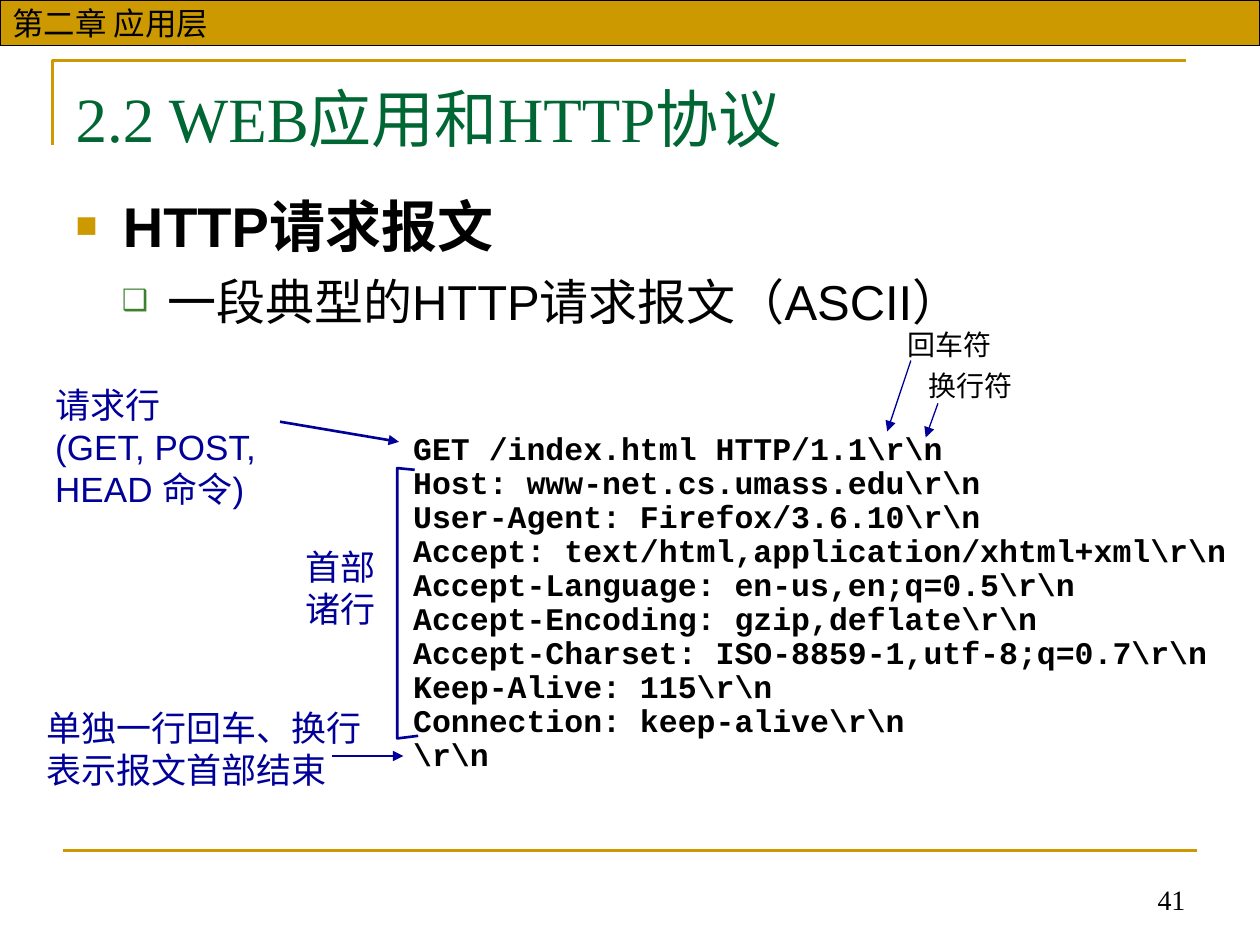
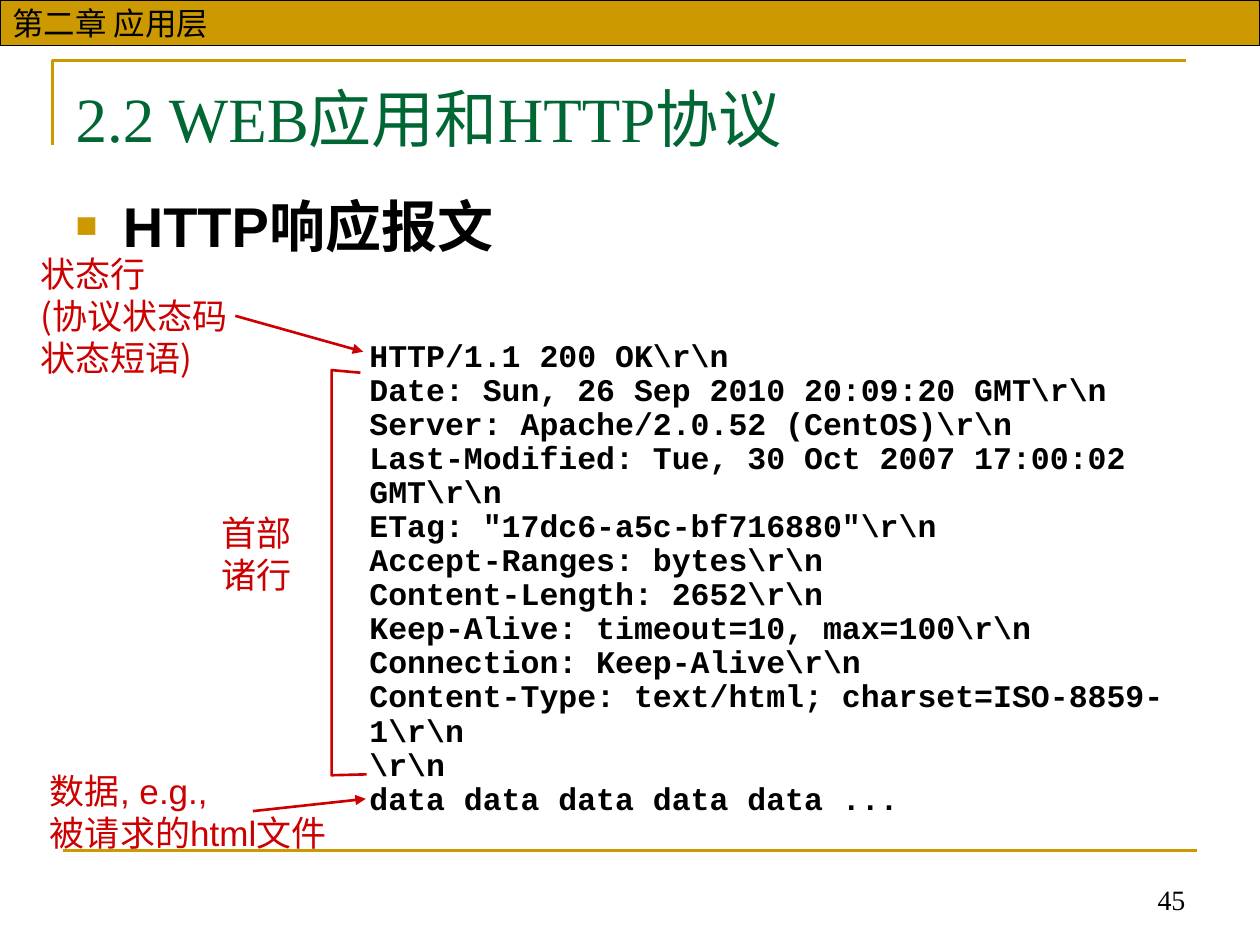
from lxml import etree
from pptx import Presentation
from pptx.dml.color import RGBColor
from pptx.enum.shapes import MSO_CONNECTOR, MSO_SHAPE
from pptx.enum.text import MSO_ANCHOR, MSO_AUTO_SIZE, PP_ALIGN
from pptx.oxml.ns import qn
from pptx.util import Pt

LEFT, RIGHT = PP_ALIGN.LEFT, PP_ALIGN.RIGHT
TOP, MIDDLE, BOTTOM = MSO_ANCHOR.TOP, MSO_ANCHOR.MIDDLE, MSO_ANCHOR.BOTTOM
STRAIGHT, RECTANGLE = MSO_CONNECTOR.STRAIGHT, MSO_SHAPE.RECTANGLE
NO_AUTOFIT = MSO_AUTO_SIZE.NONE

GOLD, GREEN, BULLET_GREEN = "CC9900", "006633", "3B812F"
BLUE, RED, BLACK = "000099", "CC0000", "000000"
SANS, SERIF, MONO, CJK = "Arial", "Times New Roman", "Courier New", "Noto Sans CJK SC"

TITLE = dict(name=SERIF, size=Pt(36), color=GREEN)
NUMBER = dict(name=SERIF, size=Pt(16), color=BLACK)
BAND = dict(name=SANS, size=Pt(18), color=BLACK)
CODE = dict(name=MONO, size=Pt(18), color=BLACK, bold=True)
MARK = dict(name=CJK, size=Pt(16), color=BLACK)
# One entry per list level: font, bullet, bullet colour, bullet size %, indents, space before
LEVELS = [
    (dict(name=SANS, size=Pt(32), color=BLACK, bold=True), "■", GOLD, 65, 27, -27, 0),
    (dict(name=SANS, size=Pt(28), color=BLACK, bold=False), "❑", BULLET_GREEN, 60, 52.5, -26, 7),
]

REQUEST = r"""GET /index.html HTTP/1.1\r\n
Host: www-net.cs.umass.edu\r\n
User-Agent: Firefox/3.6.10\r\n
Accept: text/html,application/xhtml+xml\r\n
Accept-Language: en-us,en;q=0.5\r\n
Accept-Encoding: gzip,deflate\r\n
Accept-Charset: ISO-8859-1,utf-8;q=0.7\r\n
Keep-Alive: 115\r\n
Connection: keep-alive\r\n
\r\n"""

RESPONSE = r"""HTTP/1.1 200 OK\r\n
Date: Sun, 26 Sep 2010 20:09:20 GMT\r\n
Server: Apache/2.0.52 (CentOS)\r\n
Last-Modified: Tue, 30 Oct 2007 17:00:02 GMT\r\n
ETag: "17dc6-a5c-bf716880"\r\n
Accept-Ranges: bytes\r\n
Content-Length: 2652\r\n
Keep-Alive: timeout=10, max=100\r\n
Connection: Keep-Alive\r\n
Content-Type: text/html; charset=ISO-8859-1\r\n
\r\n
data data data data data ..."""


def rgb(hex_color):
    return RGBColor.from_string(hex_color)


def add_child(parent, tag, **attributes):
    return etree.SubElement(parent, qn(tag), attributes)


def place(shape, left, top, width, height):
    shape.left, shape.top = Pt(left), Pt(top)
    shape.width, shape.height = Pt(width), Pt(height)


def add_run(p, text, style):
    r = p.add_run()
    r.text = text
    for key, value in style.items():
        if key == "color":
            r.font.color.rgb = rgb(value)
        else:
            setattr(r.font, key, value)
    add_child(r._r.get_or_add_rPr(), "a:ea", typeface=CJK)


def write(tf, text, style, align=LEFT, anchor=TOP, spacing=1.0):
    """Fill a text frame with one paragraph for each line of text."""
    tf.word_wrap = True
    tf.auto_size = NO_AUTOFIT
    tf.vertical_anchor = anchor
    for i, line in enumerate(text.split("\n")):
        p = tf.add_paragraph() if i else tf.paragraphs[0]
        p.alignment, p.line_spacing = align, spacing
        add_run(p, line, style)


def add_text(s, box, text, style, **layout):
    tb = s.shapes.add_textbox(*map(Pt, box))
    write(tb.text_frame, text, style, **layout)


def add_label(s, box, text, color, font=CJK, align=LEFT):
    add_text(s, box, text, dict(name=font, size=Pt(20), color=color), align=align)


def add_line(s, start, end, color, width=1.5, arrow=True):
    line = s.shapes.add_connector(STRAIGHT, *map(Pt, start + end))
    line.line.color.rgb = rgb(color)
    line.line.width = Pt(width)
    if arrow:
        add_child(line.line._get_or_add_ln(), "a:tailEnd", type="triangle")
    add_child(line._element.spPr, "a:effectLst")


def add_polyline(s, points, color):
    start, *rest = [(Pt(x), Pt(y)) for x, y in points]
    builder = s.shapes.build_freeform(*start)
    builder.add_line_segments(rest, close=False)
    shape = builder.convert_to_shape()
    shape.shadow.inherit = False
    shape.fill.background()
    shape.line.color.rgb = rgb(color)
    shape.line.width = Pt(1.5)


def add_frame(s, number):
    """Draw the chapter band, rules and slide number."""
    add_polyline(s, [(30, 83), (30, 34.75), (678, 34.75)], GOLD)
    add_line(s, (36, 486), (684, 486), GOLD, arrow=False)
    band = s.shapes.add_shape(RECTANGLE, 0, 0, Pt(720), Pt(26))
    band.shadow.inherit = False
    band.fill.solid()
    band.fill.fore_color.rgb = rgb(GOLD)
    band.line.color.rgb = rgb(BLACK)
    band.line.width = Pt(0.75)
    write(band.text_frame, "第二章 应用层", BAND, anchor=MIDDLE)
    add_text(s, (456.5, 491, 228, 36), str(number), NUMBER, align=RIGHT, anchor=BOTTOM)


def add_bullets(body, items):
    """Write one item for each list level, from the top level down."""
    tf = body.text_frame
    tf.auto_size = NO_AUTOFIT
    for level, (text, spec) in enumerate(zip(items, LEVELS)):
        style, char, color, percent, margin, indent, before = spec
        p = tf.add_paragraph() if level else tf.paragraphs[0]
        p.level = level
        pPr = p._p.get_or_add_pPr()
        pPr.set("marL", str(Pt(margin)))
        pPr.set("indent", str(Pt(indent)))
        add_child(add_child(pPr, "a:buClr"), "a:srgbClr", val=color)
        add_child(pPr, "a:buSzPct", val=str(percent * 1000))
        add_child(pPr, "a:buChar", char=char)
        p.space_before = Pt(before)
        add_run(p, text, style)


def add_content_slide(prs, number, items):
    s = prs.slides.add_slide(prs.slide_layouts[1])
    add_frame(s, number)
    title, body = s.placeholders
    place(title, 36, 39, 648, 55.5)
    write(title.text_frame, "2.2 WEB应用和HTTP协议", TITLE, anchor=MIDDLE)
    place(body, 36, 106, 648, 374)
    add_bullets(body, items)
    return s


def add_request_slide(prs):
    s = add_content_slide(prs, 41, ["HTTP请求报文", "一段典型的HTTP请求报文（ASCII）"])
    add_label(s, (24.5, 215.5, 139, 79), "请求行\n(GET, POST,\nHEAD 命令)", BLUE, SANS)
    add_line(s, (160, 241), (228, 252.5), BLUE)
    add_polyline(s, [(237, 268.5), (227, 267.5), (227, 422), (239, 420.5)], BLUE)
    add_label(s, (157.5, 308, 64, 55.5), "首部\n诸行", BLUE, align=RIGHT)
    add_line(s, (190, 432), (230.5, 432), BLUE)
    add_label(s, (19.5, 400, 202, 55.5), "单独一行回车、换行表示报文首部结束", BLUE)
    add_text(s, (229, 244, 486, 202), REQUEST, CODE, spacing=0.9)
    add_text(s, (511.5, 183.5, 68, 27), "回车符", MARK)
    add_text(s, (523.5, 207, 68, 27), "换行符", MARK)
    add_line(s, (520.5, 206), (507, 246.5), BLUE, 0.75)
    add_line(s, (536, 230.5), (529, 250), BLUE, 0.75)


def add_response_slide(prs):
    s = add_content_slide(prs, 45, ["HTTP响应报文"])
    add_label(s, (16, 140.5, 134, 79), "状态行\n(协议状态码\n状态短语)", RED)
    add_line(s, (134.5, 180.5), (207.5, 201), RED)
    add_polyline(s, [(206, 213), (189.5, 211.5), (189.5, 443), (209.5, 442.5)], RED)
    add_label(s, (110, 288.5, 64, 55.5), "首部\n诸行", RED, align=RIGHT)
    add_line(s, (144.5, 463.5), (209, 456.5), RED)
    add_label(s, (21.5, 436, 188, 55.5), "数据, e.g.,\n被请求的html文件", RED, SANS)
    add_text(s, (204, 191, 497, 279), RESPONSE, CODE, spacing=0.9)


def main():
    prs = Presentation()
    prs.slide_width, prs.slide_height = Pt(720), Pt(540)
    add_request_slide(prs)
    add_response_slide(prs)
    prs.save("out.pptx")


if __name__ == "__main__":
    main()
